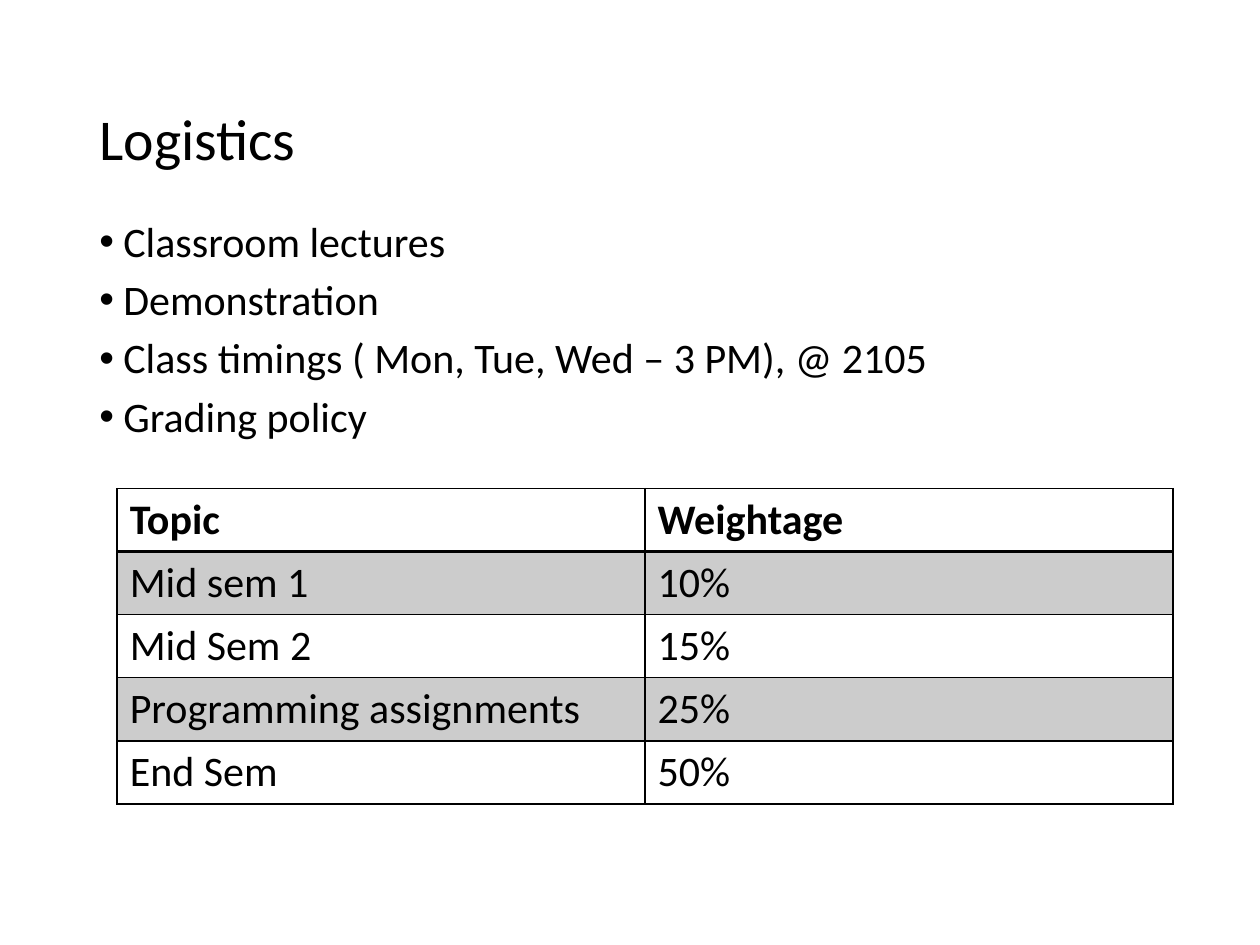
from lxml.etree import SubElement
from pptx import Presentation
from pptx.dml.color import RGBColor
from pptx.enum.text import MSO_ANCHOR
from pptx.oxml.ns import qn
from pptx.util import Inches, Pt

WIDE, HIGH = Inches(10), Inches(7.5)
HUES = {"ink": "000000"}
FACE = "Calibri"
HEAD = {"name": FACE, "size": Pt(33)}
BODY = {"name": FACE, "size": Pt(24)}
BOLD = {**BODY, "bold": True}
PLAIN = {**BODY, "bold": False}
POINTS = [
    "Classroom lectures",
    "Demonstration",
    "Class timings ( Mon, Tue, Wed – 3 PM), @ 2105",
    "Grading policy",
]
GRADES = [
    ("Topic", "Weightage"),
    ("Mid sem 1", "10%"),
    ("Mid Sem 2", "15%"),
    ("Programming assignments", "25%"),
    ("End Sem", "50%"),
]


def share(left, top, width, height):
    """Turn shares of the slide into a box of lengths."""
    return [int(part * side) for part, side in
            zip((left, top, width, height), (WIDE, HIGH) * 2)]


def style(para, form):
    for name, value in form.items():
        setattr(para.font, name, value)
    para.font.color.rgb = RGBColor.from_string(HUES["ink"])


def add_frame(slide, box, anchor):
    frame = slide.shapes.add_textbox(*box).text_frame
    frame.word_wrap = True
    frame.vertical_anchor = anchor
    return frame


def add_title(slide, box, text):
    para = add_frame(slide, box, MSO_ANCHOR.MIDDLE).paragraphs[0]
    para.text = text
    para.line_spacing = 0.9
    style(para, HEAD)


def add_list(slide, box, items):
    frame = add_frame(slide, box, MSO_ANCHOR.TOP)
    for row, text in enumerate(items):
        para = frame.add_paragraph() if row else frame.paragraphs[0]
        para.text = text
        para.line_spacing = 0.9
        para.space_before = Pt(7.5 if row else 0)
        props = para._p.get_or_add_pPr()
        props.set("marL", str(Inches(0.19)))
        props.set("indent", str(-Inches(0.19)))
        SubElement(props, qn("a:buFont"), typeface="Arial")
        SubElement(props, qn("a:buChar"), char="•")
        style(para, BODY)


def add_edges(cell, widths):
    """Draw the cell's sides, given as points by side: L, R, T, B."""
    props = cell._tc.get_or_add_tcPr()
    for side, width in widths.items():
        line = SubElement(props, qn(f"a:ln{side}"), w=str(Pt(width)))
        fill = SubElement(line, qn("a:solidFill"))
        SubElement(fill, qn("a:srgbClr"), val=HUES["ink"])


def shade(cell, alpha):
    cell.fill.solid()
    cell.fill.fore_color.rgb = RGBColor.from_string(HUES["ink"])
    hue = cell._tc.tcPr.find(f"{qn('a:solidFill')}/{qn('a:srgbClr')}")
    SubElement(hue, qn("a:alpha"), val=str(alpha * 1000))


def add_grades(slide, box, data):
    table = slide.shapes.add_table(len(data), len(data[0]), *box).table
    table.horz_banding = False
    for row, texts in enumerate(data):
        for col, text in enumerate(texts):
            cell = table.cell(row, col)
            cell.text = text
            style(cell.text_frame.paragraphs[0], PLAIN if row else BOLD)
            add_edges(cell, {"L": 1, "R": 1, "T": 2 if row == 1 else 1,
                             "B": 1 if row else 2})
            if row % 2:
                shade(cell, 20)
            else:
                cell.fill.background()


def main():
    deck = Presentation()
    deck.slide_width, deck.slide_height = WIDE, HIGH
    slide = deck.slides.add_slide(deck.slide_layouts[6])
    add_title(slide, share(0.069, 0.053, 0.862, 0.193), "Logistics")
    add_list(slide, share(0.069, 0.227, 0.862, 0.635), POINTS)
    add_grades(slide, share(0.093, 0.517, 0.838, 0.333), GRADES)
    deck.save("out.pptx")


if __name__ == "__main__":
    main()
